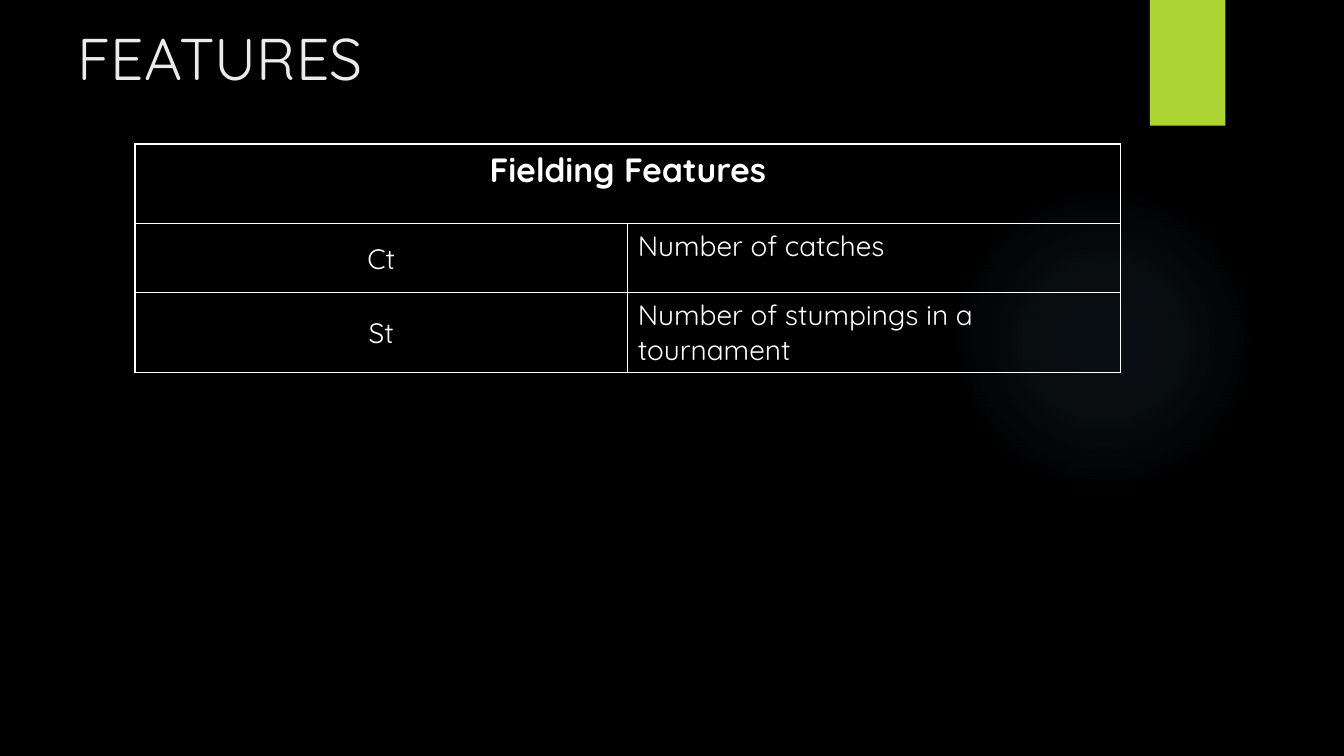
from dataclasses import dataclass

from pptx import Presentation
from pptx.dml.color import RGBColor
from pptx.enum.shapes import MSO_SHAPE as Shape
from pptx.enum.text import MSO_ANCHOR as Anchor, MSO_AUTO_SIZE as AutoSize, PP_ALIGN as Align
from pptx.oxml import parse_xml
from pptx.oxml.ns import nsdecls
from pptx.util import Cm, Pt

TITLE = "FEATURES"
TABLE_HEADING = "Fielding Features"
FEATURES = [
    ("Ct", "Number of catches"),
    ("St", "Number of stumpings in a tournament"),
]


@dataclass(frozen=True)
class Theme:
    font: str = "Quicksand"
    background: str = "000000"
    accent: str = "ACD433"
    glow: str = "7AC4F0"
    title: str = "EBEBEB"
    text: str = "FFFFFF"
    title_size: int = 42
    heading_size: int = 24
    body_size: int = 20
    border_width: int = 1


THEME = Theme()
GLOW_STOPS = [(0, 7), (36, 6), (69, 0)]  # position and opacity, per cent
SLIDE_SIZE = Cm(33.87), Cm(19.05)
GLOW_BOX = Cm(23.9), Cm(4.65), Cm(7.82), Cm(7.82)
ACCENT_BOX = Cm(28.98), Cm(0), Cm(1.9), Cm(3.17)
TITLE_BOX = Cm(1.7), Cm(0.43), Cm(27.71), Cm(2.31)
TABLE_LEFT, TABLE_TOP, TABLE_WIDTH = Cm(3.4), Cm(3.63), Cm(24.84)
HEADING_HEIGHT, FEATURE_HEIGHT = Cm(2.01), Cm(1.73)
CODE_INSET = Cm(0.03)


def add_run(paragraph, text, size, color=THEME.text, bold=False):
    run = paragraph.add_run()
    run.text = text
    run.font.name = THEME.font
    run.font.size = Pt(size)
    run.font.bold = bold
    run.font.color.rgb = RGBColor.from_string(color)


def add_plain_shape(slide, kind, box):
    shape = slide.shapes.add_shape(kind, *box)
    shape.shadow.inherit = False
    shape.line.fill.background()
    return shape


def add_glow(slide):
    """Add the faint circle that fades out towards its rim."""
    glow = add_plain_shape(slide, Shape.OVAL, GLOW_BOX)
    stops = "".join(
        f'<a:gs pos="{position * 1000}"><a:srgbClr val="{THEME.glow}">'
        f'<a:alpha val="{opacity * 1000}"/></a:srgbClr></a:gs>'
        for position, opacity in GLOW_STOPS
    )
    gradient = parse_xml(
        f'<a:gradFill {nsdecls("a")}><a:gsLst>{stops}</a:gsLst><a:path path="circle">'
        '<a:fillToRect l="50000" t="50000" r="50000" b="50000"/></a:path></a:gradFill>'
    )
    glow._element.spPr.prstGeom.addnext(gradient)


def add_title(slide):
    title = slide.shapes.title
    title.left, title.top, title.width, title.height = TITLE_BOX
    frame = title.text_frame
    frame.auto_size = AutoSize.NONE
    frame.vertical_anchor = Anchor.TOP
    paragraph = frame.paragraphs[0]
    paragraph.alignment = Align.LEFT
    add_run(paragraph, TITLE, THEME.title_size, THEME.title)


def add_borders(cell):
    properties = cell._tc.get_or_add_tcPr()
    for index, side in enumerate(("lnL", "lnR", "lnT", "lnB")):
        properties.insert(index, parse_xml(
            f'<a:{side} {nsdecls("a")} w="{Pt(THEME.border_width)}"><a:solidFill>'
            f'<a:srgbClr val="{THEME.text}"/></a:solidFill></a:{side}>'
        ))


def fill_cell(cell, text, size, alignment=Align.LEFT, bold=False):
    paragraph = cell.text_frame.paragraphs[0]
    paragraph.alignment = alignment
    add_run(paragraph, text, size, bold=bold)


def add_feature_table(slide):
    heights = [HEADING_HEIGHT] + [FEATURE_HEIGHT] * len(FEATURES)
    table = slide.shapes.add_table(
        len(heights), 2, TABLE_LEFT, TABLE_TOP, TABLE_WIDTH, sum(heights)
    ).table
    table.first_row = table.horz_banding = False
    for row, height in zip(table.rows, heights):
        row.height = height
    for cell in table.iter_cells():
        cell.fill.background()
        add_borders(cell)

    heading = table.cell(0, 0)
    heading.merge(table.cell(0, 1))
    fill_cell(heading, TABLE_HEADING, THEME.heading_size, Align.CENTER, bold=True)

    for row, (code, meaning) in enumerate(FEATURES, start=1):
        code_cell = table.cell(row, 0)
        code_cell.vertical_anchor = Anchor.MIDDLE
        code_cell.margin_left = code_cell.margin_right = code_cell.margin_top = CODE_INSET
        code_cell.margin_bottom = 0
        fill_cell(code_cell, code, THEME.body_size, Align.CENTER)
        fill_cell(table.cell(row, 1), meaning, THEME.body_size)


def main():
    presentation = Presentation()
    presentation.slide_width, presentation.slide_height = SLIDE_SIZE
    slide = presentation.slides.add_slide(presentation.slide_layouts[5])
    background = slide.background.fill
    background.solid()
    background.fore_color.rgb = RGBColor.from_string(THEME.background)

    add_glow(slide)
    accent = add_plain_shape(slide, Shape.RECTANGLE, ACCENT_BOX)
    accent.fill.solid()
    accent.fill.fore_color.rgb = RGBColor.from_string(THEME.accent)
    add_title(slide)
    add_feature_table(slide)
    presentation.save("out.pptx")


if __name__ == "__main__":
    main()
